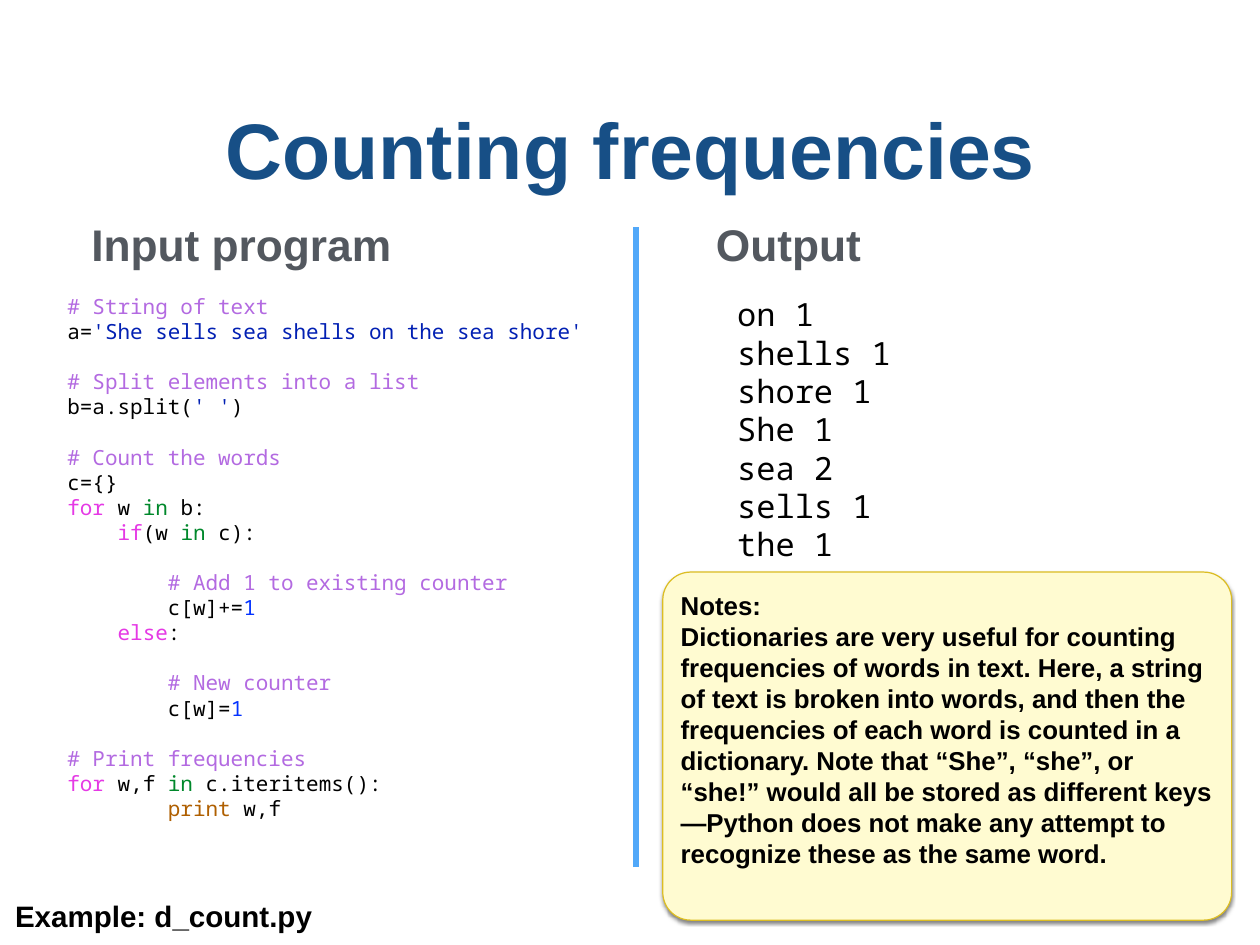
from dataclasses import dataclass

from lxml.etree import SubElement
from pptx import Presentation
from pptx.dml.color import RGBColor
from pptx.enum.shapes import MSO_CONNECTOR, MSO_SHAPE
from pptx.enum.text import MSO_ANCHOR, MSO_AUTO_SIZE, PP_ALIGN
from pptx.oxml.ns import qn
from pptx.slide import Slide
from pptx.text.text import TextFrame
from pptx.util import Inches, Pt

COLOURS = {
    "title": "174F86",
    "heading": "53585F",
    "divider": "51A8F9",
    "note fill": "FFFBD1",
    "note line": "DCBD23",
    "plain": "000000",
    "comment": "B36AE1",
    "string": "0220B3",
    "keyword": "E539E5",
    "operator": "00882B",
    "number": "0433FF",
    "builtin": "AF5F00",
}
SANS, MONO = "Arial", "Noto Sans Mono"
CODE_GAP = 20.4  # height of one code line, in points


@dataclass(frozen=True)
class Span:
    text: str
    role: str = "plain"


@dataclass(frozen=True)
class Line:
    spans: tuple[Span, ...]
    gap: float = 0


@dataclass(frozen=True)
class TextBlock:
    left: float
    top: float
    width: float
    height: float
    lines: tuple[Line, ...]
    size: int
    font: str = SANS
    bold: bool = True


def line(*spans: Span, gap: float = 0) -> Line:
    return Line(spans, gap)


def comment(text: str, gap: float = CODE_GAP) -> Line:
    return line(Span(text, "comment"), gap=gap)


PROGRAM = (
    comment("# String of text", gap=0),
    line(Span("a="), Span("'She sells sea shells on the sea shore'", "string")),
    comment("# Split elements into a list"),
    line(Span("b=a.split("), Span("' '", "string"), Span(")")),
    comment("# Count the words"),
    line(Span("c={}")),
    line(Span("for", "keyword"), Span(" w "), Span("in ", "operator"), Span("b:")),
    line(Span("    "), Span("if", "keyword"), Span("(w "),
         Span("in ", "operator"), Span("c):")),
    comment("        # Add 1 to existing counter"),
    line(Span("        c[w]+="), Span("1", "number")),
    line(Span("    "), Span("else", "keyword"), Span(":")),
    comment("        # New counter"),
    line(Span("        c[w]="), Span("1", "number")),
    comment("# Print frequencies"),
    line(Span("for", "keyword"), Span(" w,f "), Span("in", "operator"),
         Span(" c.iteritems():")),
    line(Span("        "), Span("print", "builtin"), Span(" w,f")),
)
COUNTS = ("on 1", "shells 1", "shore 1", "She 1", "sea 2", "sells 1", "the 1")
NOTES = (
    "Notes:",
    "Dictionaries are very useful for counting frequencies of words in text. "
    "Here, a string of text is broken into words, and then the frequencies of "
    "each word is counted in a dictionary. Note that “She”, “she”, or “she!” "
    "would all be stored as different keys—Python does not make any attempt to "
    "recognize these as the same word.",
)
BLOCKS = (
    TextBlock(0.97, 2.4, 3.51, 0.71, (line(Span("Input program", "heading")),), 36),
    TextBlock(8.02, 2.4, 1.76, 0.71, (line(Span("Output", "heading")),), 36),
    TextBlock(0.7, 3.32, 6.1, 5.94, PROGRAM, 17, MONO, False),
    TextBlock(8.26, 3.33, 2.08, 3.03,
              tuple(line(Span(count)) for count in COUNTS), 26, MONO, False),
    TextBlock(0.11, 10.08, 3.48, 0.51, (line(Span("Example: d_count.py")),), 24),
)


def colour(role: str) -> RGBColor:
    return RGBColor.from_string(COLOURS[role])


def set_margins(frame: TextFrame, margin: float) -> None:
    frame.margin_left = frame.margin_right = Inches(margin)
    frame.margin_top = frame.margin_bottom = Inches(margin)


def write(frame: TextFrame, lines: tuple[Line, ...], size: int,
          font: str = SANS, bold: bool = True,
          align: PP_ALIGN = PP_ALIGN.LEFT) -> None:
    for index, content in enumerate(lines):
        paragraph = frame.add_paragraph() if index else frame.paragraphs[0]
        paragraph.alignment = align
        if content.gap:
            paragraph.space_before = Pt(content.gap)
        for span in content.spans:
            run = paragraph.add_run()
            run.text = span.text
            run.font.size = Pt(size)
            run.font.name = font
            run.font.bold = bold
            run.font.color.rgb = colour(span.role)


def add_title(slide: Slide) -> None:
    title = slide.shapes.title
    title.left, title.top = Inches(0.48), Inches(0.49)
    title.width, title.height = Inches(13.27), Inches(2.36)
    frame = title.text_frame
    frame.auto_size = MSO_AUTO_SIZE.NONE
    frame.vertical_anchor = MSO_ANCHOR.MIDDLE
    set_margins(frame, 0.06)
    write(frame, (line(Span("Counting frequencies", "title")),), 64,
          align=PP_ALIGN.CENTER)


def add_divider(slide: Slide) -> None:
    divider = slide.shapes.add_connector(
        MSO_CONNECTOR.STRAIGHT, Inches(7.18), Inches(9.79), Inches(7.18), Inches(2.56))
    divider.line.color.rgb = colour("divider")
    divider.line.width = Pt(5)
    SubElement(divider._element.spPr, qn("a:effectLst"))


def add_block(slide: Slide, block: TextBlock) -> None:
    frame = slide.shapes.add_textbox(
        Inches(block.left), Inches(block.top),
        Inches(block.width), Inches(block.height)).text_frame
    frame.word_wrap = False
    frame.auto_size = MSO_AUTO_SIZE.SHAPE_TO_FIT_TEXT
    frame.vertical_anchor = MSO_ANCHOR.MIDDLE
    set_margins(frame, 0.06)
    write(frame, block.lines, block.size, block.font, block.bold)


def add_notes_card(slide: Slide) -> None:
    card = slide.shapes.add_shape(
        MSO_SHAPE.ROUNDED_RECTANGLE,
        Inches(7.48), Inches(6.46), Inches(6.42), Inches(3.93))
    card.adjustments[0] = 0.08
    card.fill.solid()
    card.fill.fore_color.rgb = colour("note fill")
    card.line.color.rgb = colour("note line")
    card.line.width = Pt(1)

    # Soft shadow straight below the card
    card.shadow.inherit = False
    effects = card._element.spPr.find(qn("a:effectLst"))
    shadow = SubElement(effects, qn("a:outerShdw"), blurRad=str(Pt(3)),
                        dist=str(Pt(2)), dir="5400000", rotWithShape="0")
    tint = SubElement(shadow, qn("a:srgbClr"), val=COLOURS["plain"])
    SubElement(tint, qn("a:alpha"), val="50000")

    frame = card.text_frame
    frame.word_wrap = True
    frame.vertical_anchor = MSO_ANCHOR.TOP
    set_margins(frame, 0.11)
    write(frame, tuple(line(Span(note)) for note in NOTES), 21)


def main() -> None:
    deck = Presentation()
    deck.slide_width, deck.slide_height = Inches(14.22), Inches(10.67)
    slide = deck.slides.add_slide(deck.slide_layouts[5])  # title only

    add_title(slide)
    add_divider(slide)
    # Headings, program, output and file name
    for block in BLOCKS:
        add_block(slide, block)
    add_notes_card(slide)
    deck.save("out.pptx")


if __name__ == "__main__":
    main()
